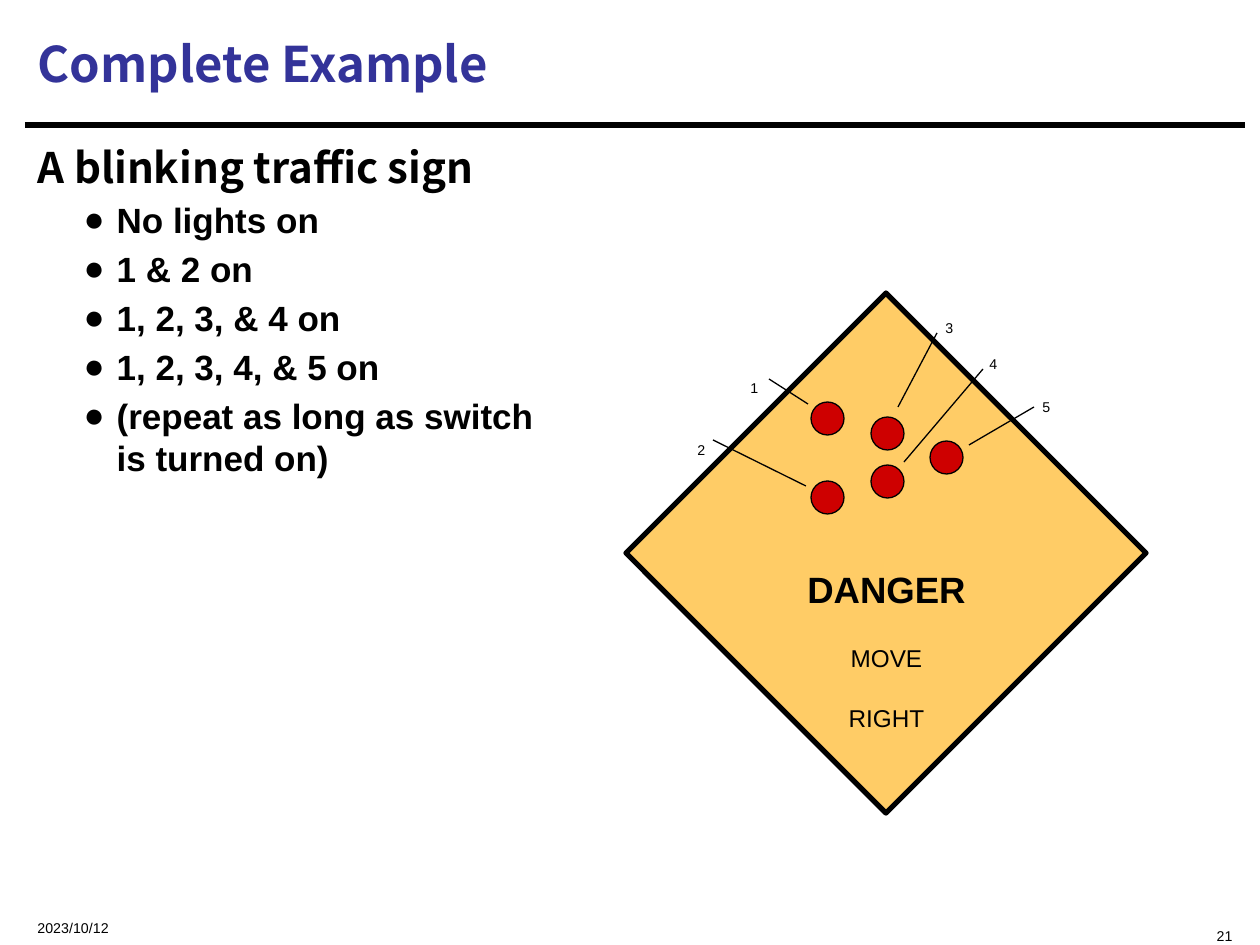
import pptx
import pptx.util
import pptx.dml.color
import pptx.enum.shapes
import pptx.enum.text
from lxml import etree

PX = 914400 / 126
COLORS = {"title": "333399", "ink": "000000", "sign": "FFCC66", "light": "CE0000"}
HEADING_FONT, TEXT_FONT = "Noto Sans CJK SC", "Arial"
ALIGN = pptx.enum.text.PP_ALIGN
ANCHOR = pptx.enum.text.MSO_ANCHOR
SHAPE = pptx.enum.shapes.MSO_SHAPE

# Content
TITLE = "Complete Example"
HEADING = "A blinking traffic sign"
STEPS = [
    ["No lights on"],
    ["1 & 2 on"],
    ["1, 2, 3, & 4 on"],
    ["1, 2, 3, 4, & 5 on"],
    ["(repeat as long as switch", "is turned on)"],
]
SIGN_LINES = [("DANGER", 36, True), ("MOVE", 24, False), ("RIGHT", 24, False)]
LIGHT_SIZE = 33
LABEL_SIZE = (39, 42)
# light corner, label corner, pointer start, pointer end
LIGHTS = [
    ((811, 402), (735, 355), (769, 379), (808, 404)),
    ((811, 481), (682, 417), (713, 440), (806, 486)),
    ((871, 417), (930, 295), (937, 333), (898, 407)),
    ((871, 465), (974, 331), (983, 369), (904, 462)),
    ((930, 441), (1027, 374), (1034, 407), (969, 445)),
]


def px(*values):
    return [pptx.util.Emu(round(value * PX)) for value in values]


def rgb(name):
    return pptx.dml.color.RGBColor.from_string(COLORS[name])


def add_span(para, text, size, font=TEXT_FONT, bold=False, color="ink", lowered=False):
    span = para.add_run()
    span.text = text
    span.font.size = pptx.util.Pt(size)
    span.font.name = font
    span.font.bold = bold
    span.font.color.rgb = rgb(color)
    if lowered:
        span._r.get_or_add_rPr().set("baseline", "-33000")


def add_small_text(page, place, lines, align, anchor=ANCHOR.TOP, wrap=False):
    """Text box with lowered (subscript) lines of (text, size, bold)."""
    box = page.shapes.add_textbox(*px(*place))
    frame = box.text_frame
    frame.word_wrap = wrap
    frame.vertical_anchor = anchor
    if not wrap:
        frame.auto_size = pptx.enum.text.MSO_AUTO_SIZE.SHAPE_TO_FIT_TEXT
    para = frame.paragraphs[0]
    para.alignment = align
    for index, (text, size, bold) in enumerate(lines):
        if index:
            para.add_line_break()
        add_span(para, text, size, bold=bold, lowered=True)


def add_filled(shapes, kind, place, fill, width):
    shape = shapes.add_shape(kind, *px(*place))
    shape.shadow.inherit = False
    shape.fill.solid()
    shape.fill.fore_color.rgb = rgb(fill)
    shape.line.color.rgb = rgb("ink")
    shape.line.width = pptx.util.Pt(width)


def add_line(page, start, end, width):
    line = page.shapes.add_connector(
        pptx.enum.shapes.MSO_CONNECTOR.STRAIGHT, *px(*start, *end))
    line.line.color.rgb = rgb("ink")
    line.line.width = pptx.util.Pt(width)
    etree.SubElement(line._element.spPr, pptx.oxml.ns.qn("a:effectLst"))


def set_bullet(para, char, left, hanging):
    props = para._p.get_or_add_pPr()
    props.set("marL", str(px(left)[0]))
    props.set("indent", str(px(-hanging)[0]))
    tag = "a:buChar" if char else "a:buNone"
    bullet = etree.SubElement(props, pptx.oxml.ns.qn(tag))
    if char:
        bullet.set("char", char)


def set_placeholder(holder, place, anchor):
    holder.left, holder.top, holder.width, holder.height = px(*place)
    holder.text_frame.vertical_anchor = anchor
    holder.text_frame.auto_size = pptx.enum.text.MSO_AUTO_SIZE.NONE
    return holder.text_frame


deck = pptx.Presentation()
deck.slide_width, deck.slide_height = px(1260, 945)
page = deck.slides.add_slide(deck.slide_layouts[1])

# Rule, date and page number
add_line(page, (25, 125), (1245, 125), 3.75)
add_small_text(page, (25, 903, 315, 32), [("2023/10/12", 14, False)],
               ALIGN.LEFT, ANCHOR.MIDDLE, wrap=True)
add_small_text(page, (867, 903, 378, 32), [("21", 14, False)], ALIGN.RIGHT, wrap=True)

# Title
frame = set_placeholder(page.shapes.title, (25, 10, 1218, 106), ANCHOR.MIDDLE)
frame.paragraphs[0].alignment = ALIGN.LEFT
add_span(frame.paragraphs[0], TITLE, 28, HEADING_FONT, True, "title")

# Heading and steps
frame = set_placeholder(page.placeholders[1], (25, 135, 1218, 755), ANCHOR.TOP)
para = frame.paragraphs[0]
set_bullet(para, None, 0, 0)
para.space_before = pptx.util.Pt(0)
add_span(para, HEADING, 24, HEADING_FONT, True)
for step in STEPS:
    para = frame.add_paragraph()
    para.level = 1
    set_bullet(para, "●", 79, 33)
    para.space_before = pptx.util.Pt(4)
    for index, text in enumerate(step):
        if index:
            para.add_line_break()
        add_span(para, text, 20, bold=True)

# Sign
add_filled(page.shapes, SHAPE.DIAMOND, (626, 293, 520, 520), "sign", 3)
add_small_text(page, (737, 514, 299, 189), SIGN_LINES, ALIGN.CENTER)

# Lights, their numbers and pointers
group = page.shapes.add_group_shape()
for number, (light, label, start, end) in enumerate(LIGHTS, 1):
    add_filled(group.shapes, SHAPE.OVAL, (*light, LIGHT_SIZE, LIGHT_SIZE), "light", 0.75)
    add_small_text(page, (*label, *LABEL_SIZE), [(str(number), 14, False)], ALIGN.CENTER)
    add_line(page, start, end, 0.75)

deck.save("out.pptx")
